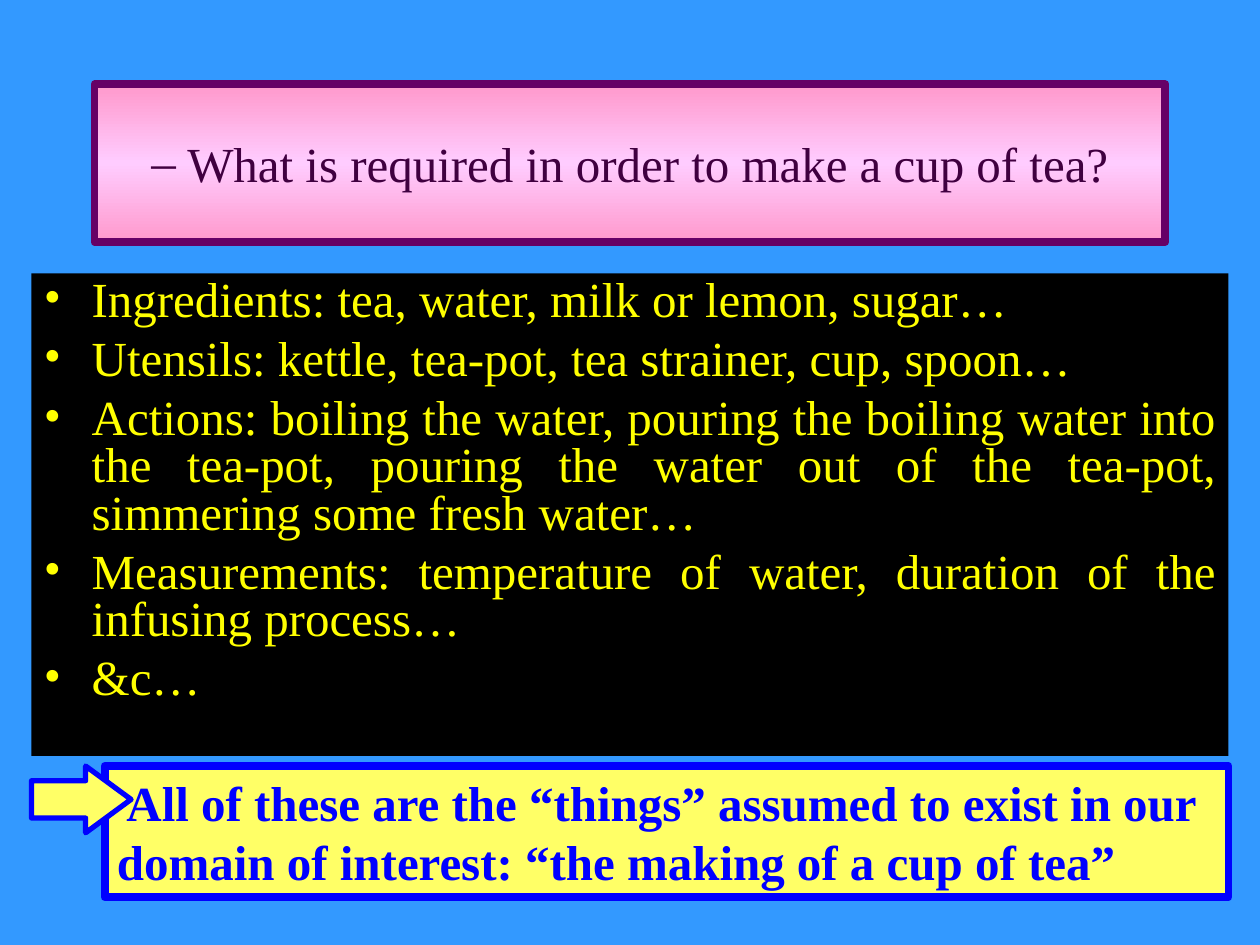
import copy

import pptx
import pptx.util
import pptx.dml.color
import pptx.enum.shapes
import pptx.enum.text
import pptx.oxml
import pptx.oxml.ns

Inches = pptx.util.Inches
Pt = pptx.util.Pt
SHAPE = pptx.enum.shapes.MSO_SHAPE
ALIGN = pptx.enum.text.PP_ALIGN
ANCHOR = pptx.enum.text.MSO_ANCHOR

FONT = "Times New Roman"
COLORS = {
    "background": "3399FF",
    "title_edge": "FF99CC",
    "title_middle": "FFCCFF",
    "title_line": "660066",
    "title_text": "400040",
    "list_fill": "000000",
    "list_text": "FFFF00",
    "note_fill": "FFFF66",
    "note_blue": "0000FF",
}
ITEMS = [
    "Ingredients: tea, water, milk or lemon, sugar…",
    "Utensils: kettle, tea-pot, tea strainer, cup, spoon…",
    "Actions: boiling the water, pouring the boiling water into the tea-pot, "
    "pouring the water out of the tea-pot, simmering some fresh water…",
    "Measurements: temperature of water, duration of the infusing process…",
    "&c…",
]


def rgb(name):
    return pptx.dml.color.RGBColor.from_string(COLORS[name])


def add_box(slide, box, fill=None, line=None, width=4.5, kind=SHAPE.RECTANGLE):
    sp = slide.shapes.add_shape(kind, *(Inches(v) for v in box))
    sp.shadow.inherit = False
    if fill:
        sp.fill.solid()
        sp.fill.fore_color.rgb = rgb(fill)
    if line:
        sp.line.color.rgb = rgb(line)
        sp.line.width = Pt(width)
    else:
        sp.line.fill.background()
    return sp


def add_bullet(p, char, color, indent=0):
    pPr = p._p.get_or_add_pPr()
    pPr.set("marL", str(Inches(indent)))
    pPr.set("indent", str(-Inches(indent)))
    ns = pptx.oxml.ns.nsdecls("a")
    for xml in (
        f'<a:buClr {ns}><a:srgbClr val="{COLORS[color]}"/></a:buClr>',
        f'<a:buFont {ns} typeface="{FONT}"/>',
        f'<a:buChar {ns} char="{char}"/>',
    ):
        pPr.append(pptx.oxml.parse_xml(xml))


def write(sp, paragraphs, color, size=28, bold=False, align=ALIGN.LEFT,
          anchor=ANCHOR.TOP, spacing=None, before=0, bullet=None, indent=0):
    tf = sp.text_frame
    tf.word_wrap = True
    tf.vertical_anchor = anchor
    for i, text in enumerate(paragraphs):
        p = tf.add_paragraph() if i else tf.paragraphs[0]
        p.alignment = align
        p.line_spacing = spacing
        p.space_before = Pt(before)
        if bullet:
            add_bullet(p, bullet, color, indent)
        r = p.add_run()
        r.text = text
        r.font.name = FONT
        r.font.size = Pt(size)
        r.font.bold = bold
        r.font.color.rgb = rgb(color)


def fill_mirrored(sp, edge, middle):
    """Vertical gradient from edge to middle and back to edge."""
    sp.fill.gradient()
    sp.fill.gradient_angle = 90
    first = sp.fill.gradient_stops[0]._gs
    first.addnext(copy.deepcopy(first))
    for stop, place, color in zip(sp.fill.gradient_stops, (0, 0.5, 1),
                                  (edge, middle, edge)):
        stop.position = place
        stop.color.rgb = rgb(color)


def add_title(slide, box):
    sp = add_box(slide, box, line="title_line")
    fill_mirrored(sp, "title_edge", "title_middle")
    write(sp, [" What is required in order to make a cup of tea?"], "title_text",
          align=ALIGN.CENTER, anchor=ANCHOR.MIDDLE, bullet="–")


def add_list(slide, box):
    sp = add_box(slide, box, fill="list_fill")
    write(sp, ITEMS, "list_text", align=ALIGN.JUSTIFY, spacing=0.8, before=7,
          bullet="•", indent=0.38)


def add_note(slide, box):
    """Conclusion box with an arrow overlapping its top left corner."""
    left, top, width, height = box
    inset = 0.58
    sp = add_box(slide, (left + inset, top, width - inset, height),
                 fill="note_fill", line="note_blue")
    write(sp, [" All of these are the “things” assumed to exist in our domain "
               "of interest: “the making of a cup of tea”"], "note_blue", bold=True)
    arrow = add_box(slide, (left, top, 0.79, 0.53), fill="note_fill",
                    line="note_blue", width=3, kind=SHAPE.RIGHT_ARROW)
    arrow.adjustments[0] = 0.56
    arrow.adjustments[1] = 0.68


def main():
    prs = pptx.Presentation()
    prs.slide_width, prs.slide_height = Inches(10), Inches(7.5)
    slide = prs.slides.add_slide(prs.slide_layouts[6])
    slide.background.fill.solid()
    slide.background.fill.fore_color.rgb = rgb("background")
    add_title(slide, (0.75, 0.67, 8.5, 1.25))
    add_list(slide, (0.25, 2.17, 9.5, 3.83))
    add_note(slide, (0.25, 6.08, 9.5, 1.04))
    prs.save("out.pptx")


if __name__ == "__main__":
    main()
